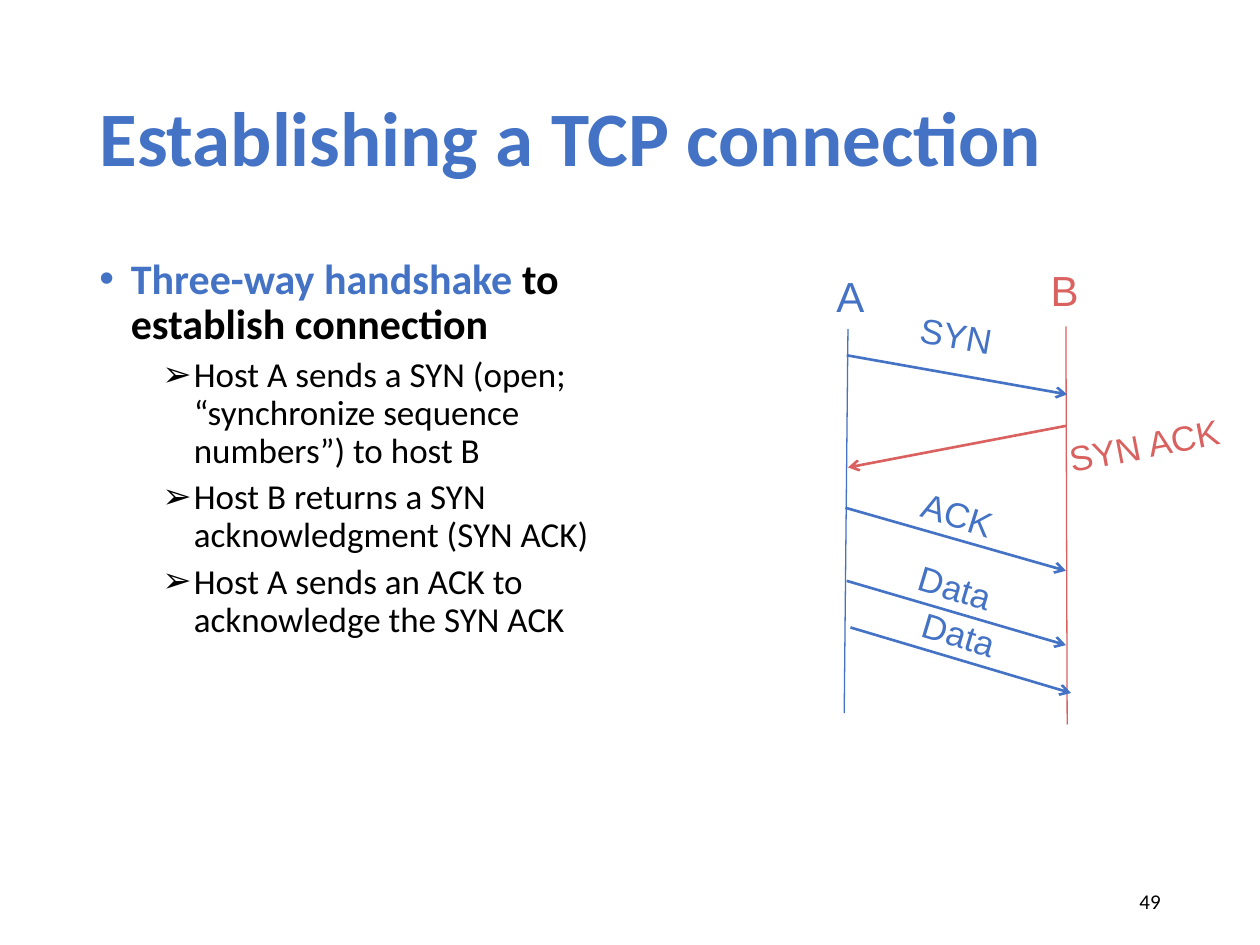
import pptx
import pptx.util
import pptx.dml.color
import pptx.enum.shapes
import pptx.enum.text
import pptx.oxml
import pptx.oxml.ns
from pptx.util import Inches

BLUE = pptx.dml.color.RGBColor(0x44, 0x72, 0xC4)
RED = pptx.dml.color.RGBColor(0xD9, 0x61, 0x5F)
BLACK = pptx.dml.color.RGBColor(0, 0, 0)
ALIGN = pptx.enum.text.PP_ALIGN
ANCHOR = pptx.enum.text.MSO_ANCHOR

# Message label, colour, line start, line end, label centre, label rotation
MESSAGES = [
    ("SYN", BLUE, (0.22, 0.82), (1.97, 1.13), (1.09, 0.66), 10.1),
    ("SYN ACK", RED, (1.96, 1.38), (0.23, 1.71), (2.58, 1.53), -10.9),
    ("ACK", BLUE, (0.21, 2.03), (1.96, 2.53), (1.1, 2.08), 17.4),
    ("Data", BLUE, (0.22, 2.61), (1.96, 3.12), (1.08, 2.66), 16.7),
    ("Data", BLUE, (0.25, 2.98), (2.0, 3.5), (1.11, 3.03), 16.7),
]
# Host name, colour, label centre, lifeline start, lifeline end
HOSTS = [
    ("A", BLUE, (0.25, 0.35), (0.23, 0.61), (0.2, 3.66)),
    ("B", RED, (1.95, 0.3), (1.96, 0.59), (1.97, 3.75)),
]
STEPS = [
    "Host A sends a SYN (open; “synchronize sequence numbers”) to host B",
    "Host B returns a SYN acknowledgment (SYN ACK)",
    "Host A sends an ACK to acknowledge the SYN ACK",
]


def add_run(paragraph, text, size=20, font="Calibri", color=BLACK, bold=False):
    run = paragraph.add_run()
    run.text = text
    run.font.size = pptx.util.Pt(size)
    run.font.name = font
    run.font.color.rgb = color
    run.font.bold = bold


def add_text_box(slide, left, top, width, height, anchor=ANCHOR.MIDDLE, wrap=True):
    shape = slide.shapes.add_textbox(
        Inches(left), Inches(top), Inches(width), Inches(height))
    shape.text_frame.word_wrap = wrap
    shape.text_frame.vertical_anchor = anchor
    return shape


def add_label(slide, text, center, width, rotation=0, **text_format):
    """Place a centred Arial label around a point."""
    height = 0.44
    shape = add_text_box(slide, center[0] - width / 2, center[1] - height / 2,
                         width, height, wrap=False)
    shape.rotation = rotation
    paragraph = shape.text_frame.paragraphs[0]
    paragraph.alignment = ALIGN.CENTER
    add_run(paragraph, text, font="Arial", **text_format)


def add_line(slide, start, end, color, width, arrow=False):
    connector = slide.shapes.add_connector(
        pptx.enum.shapes.MSO_CONNECTOR.STRAIGHT,
        *(Inches(value) for value in (*start, *end)))
    connector.line.color.rgb = color
    connector.line.width = pptx.util.Pt(width)
    if arrow:
        pptx.oxml.ns.qn("a:tailEnd")
        line = connector.line._get_or_add_ln()
        line.append(pptx.oxml.parse_xml(
            f'<a:tailEnd {pptx.oxml.ns.nsdecls("a")} type="arrow"/>'))
    connector._element.spPr.append(pptx.oxml.parse_xml(
        f'<a:effectLst {pptx.oxml.ns.nsdecls("a")}/>'))


def format_bullet(paragraph, character, indent, space_before):
    properties = paragraph._p.get_or_add_pPr()
    properties.set("marL", str(Inches(indent)))
    properties.set("indent", str(Inches(-0.25)))
    for element in ('buFont {} typeface="Arial"', f'buChar {{}} char="{character}"'):
        properties.append(pptx.oxml.parse_xml(
            f'<a:{element.format(pptx.oxml.ns.nsdecls("a"))}/>'))
    paragraph.line_spacing = 0.9
    paragraph.space_before = pptx.util.Pt(space_before)


def place_title(slide, left, top, width, height):
    title = slide.shapes.title
    title.left, title.top = Inches(left), Inches(top)
    title.width, title.height = Inches(width), Inches(height)
    title.text_frame.vertical_anchor = ANCHOR.MIDDLE
    paragraph = title.text_frame.paragraphs[0]
    paragraph.alignment = ALIGN.LEFT
    paragraph.line_spacing = 0.9
    add_run(paragraph, "Establishing a TCP connection", size=44, color=BLUE, bold=True)


def add_handshake_steps(slide, left, top, width, height):
    frame = add_text_box(slide, left, top, width, height, ANCHOR.TOP).text_frame
    heading = frame.paragraphs[0]
    format_bullet(heading, "•", 0.25, 0)
    add_run(heading, "Three-way handshake", size=24, color=BLUE, bold=True)
    add_run(heading, " to establish connection", size=24, bold=True)
    for step in STEPS:
        paragraph = frame.add_paragraph()
        paragraph.level = 1
        format_bullet(paragraph, "➢", 0.75, 5)
        add_run(paragraph, step)


def add_sequence_diagram(slide, left, top):
    def place(point):
        return left + point[0], top + point[1]

    for name, color, center, start, end in HOSTS:
        add_line(slide, place(start), place(end), color, 0.75)
        add_label(slide, name, place(center), 0.44, size=24, color=color)
    for text, color, start, end, center, rotation in MESSAGES:
        add_line(slide, place(start), place(end), color, 1.5, arrow=True)
        width = 1.43 if len(text) > 4 else 0.8
        add_label(slide, text, place(center), width, rotation, color=color)


def add_slide_number(slide, left, top, width, height):
    shape = add_text_box(slide, left, top, width, height)
    paragraph = shape.text_frame.paragraphs[0]
    paragraph.alignment = ALIGN.RIGHT
    add_run(paragraph, "49", size=12)


def main():
    presentation = pptx.Presentation()
    presentation.slide_width, presentation.slide_height = Inches(10), Inches(7.5)
    slide = presentation.slides.add_slide(presentation.slide_layouts[5])
    place_title(slide, 0.69, 0.4, 8.62, 1.45)
    add_handshake_steps(slide, 0.69, 2, 4.25, 4.76)
    add_sequence_diagram(slide, 6.5, 2)
    add_slide_number(slide, 7.06, 6.95, 2.25, 0.4)
    presentation.save("out.pptx")


if __name__ == "__main__":
    main()
